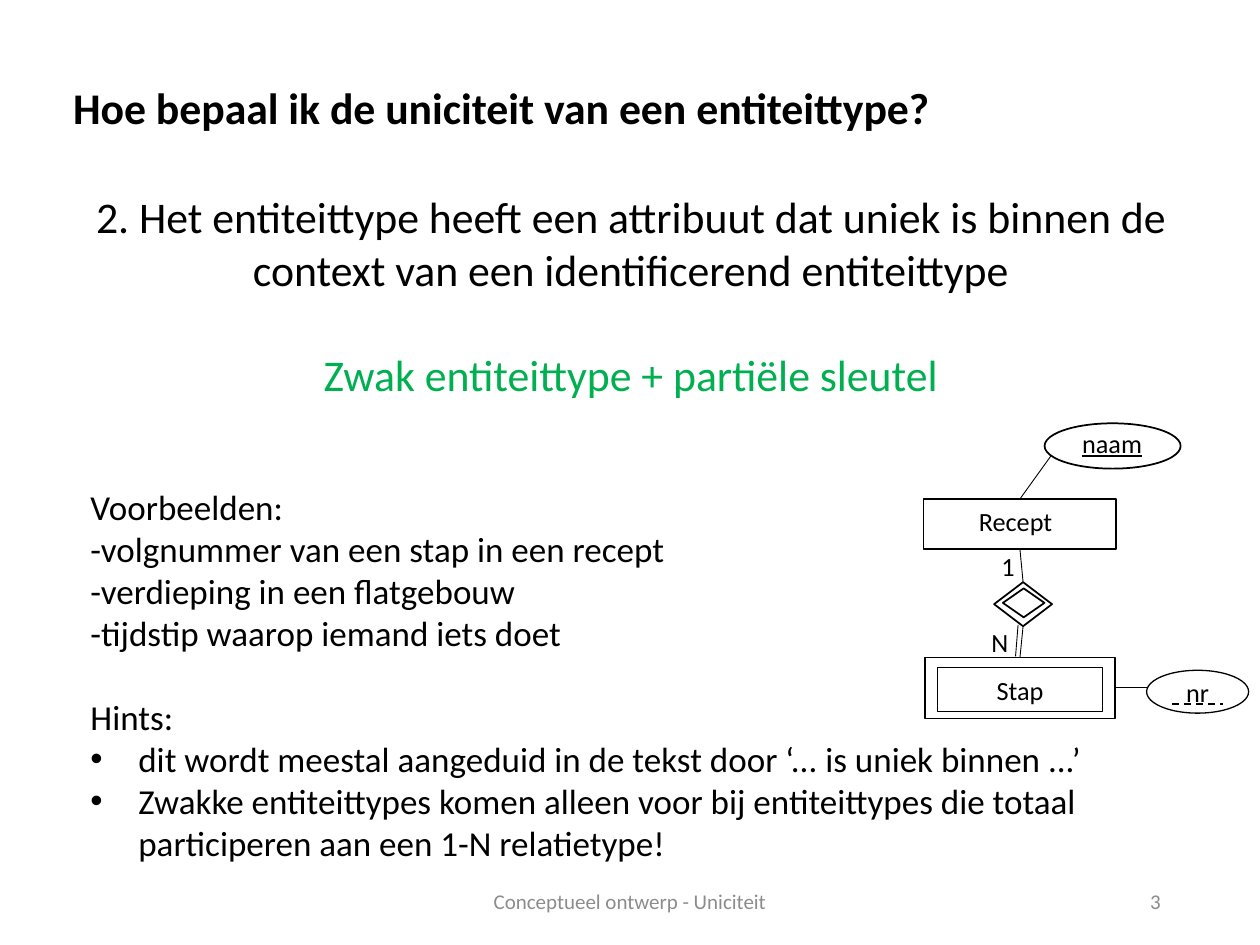
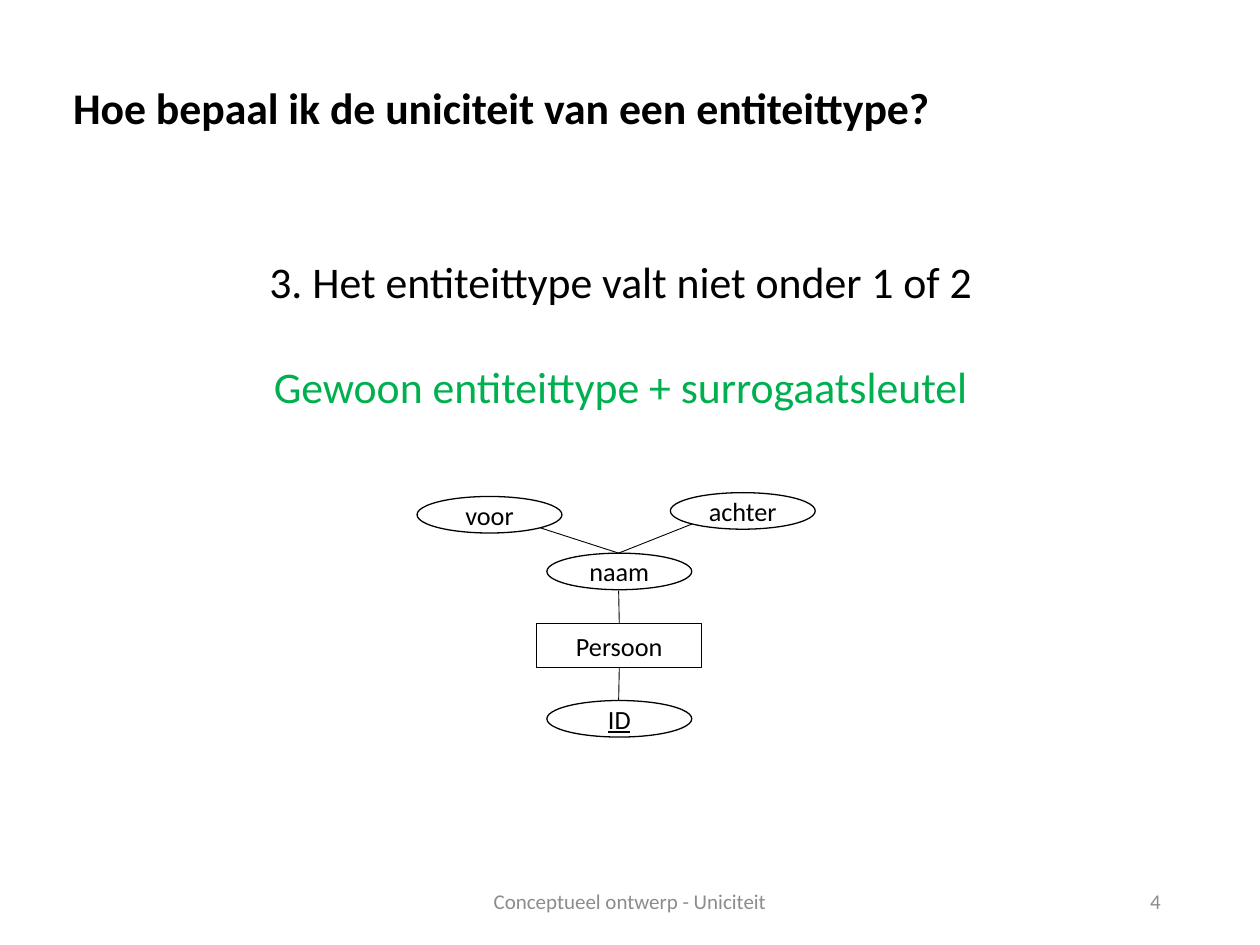
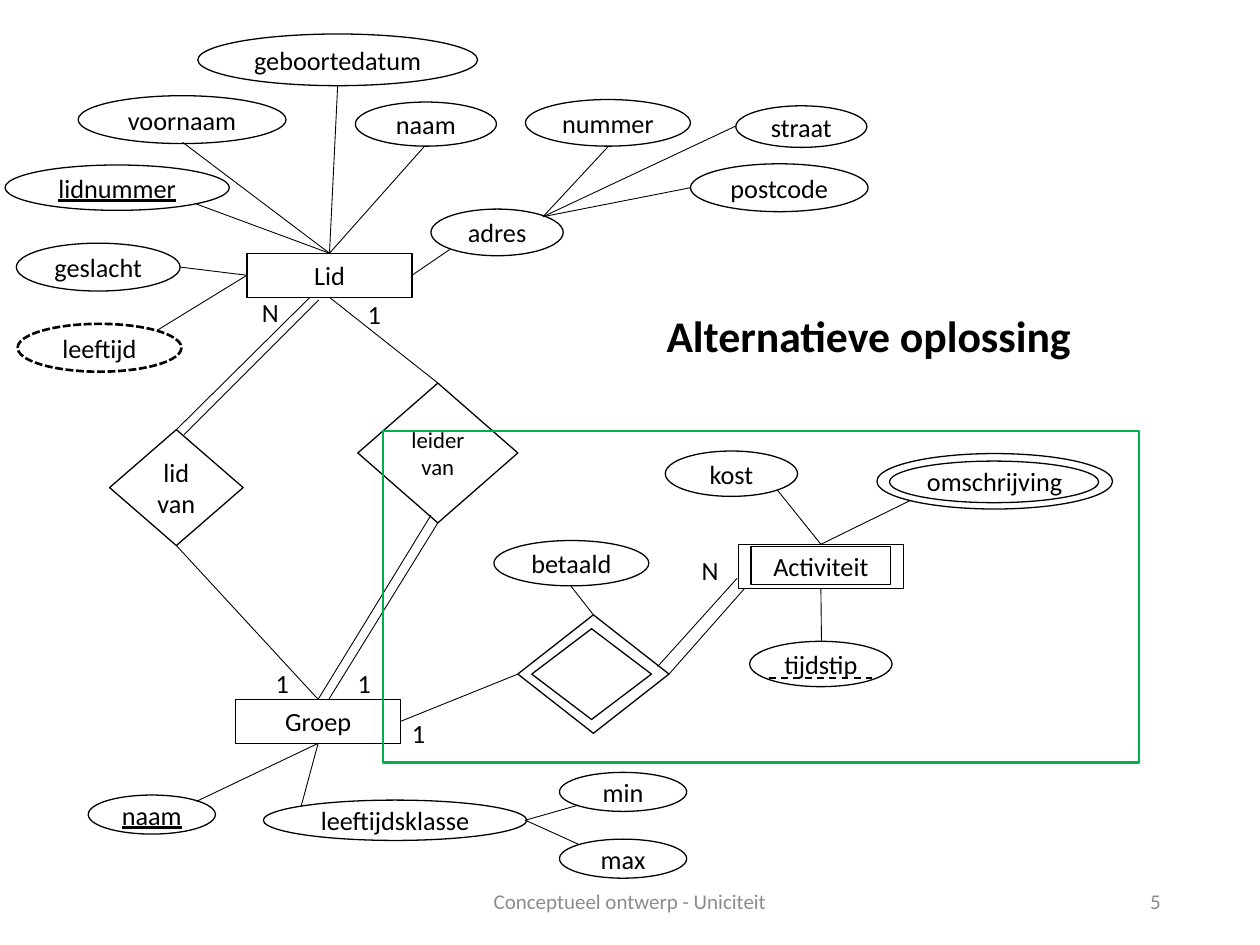
from lxml.etree import SubElement
from pptx import Presentation
from pptx.dml.color import RGBColor
from pptx.enum.dml import MSO_LINE as Dash
from pptx.enum.shapes import MSO_CONNECTOR as Connector, MSO_SHAPE as Shape
from pptx.enum.text import MSO_ANCHOR as Anchor, MSO_AUTO_SIZE as AutoSize, PP_ALIGN as Align
from pptx.oxml.ns import qn
from pptx.util import Cm, Pt

COLORS = {"ink": "000000", "paper": "FFFFFF", "accent": "00B050", "footer": "8C8C8C"}
FONT = "Calibri"
FOOTER = "Conceptueel ontwerp - Uniciteit"
QUESTION = "Hoe bepaal ik de uniciteit van een entiteittype?"
QUESTION_AREA = (0.48, 0.59, 8.62, 0.52)
TITLE_ONLY = 5
TOP, LEFT, BOTTOM, RIGHT = range(4)


def length(inches):
    return Cm(2.54 * inches)


def rgb(name):
    return RGBColor.from_string(COLORS[name])


def set_values(target, values):
    for name, value in values.items():
        setattr(target, name, value)


def write(para, text, size=15, color="ink", align=Align.LEFT, before=0, **font):
    set_values(para, {"alignment": align, "space_before": Pt(before)})
    span = para.add_run()
    span.text = text
    set_values(span.font, {"name": FONT, "size": Pt(size), **font})
    span.font.color.rgb = rgb(color)


def add_bullet(para, indent=0.38):
    properties = para._p.get_or_add_pPr()
    properties.set("marL", str(length(indent)))
    properties.set("indent", str(-length(indent)))
    SubElement(properties, qn("a:buFont"), typeface="Arial")
    SubElement(properties, qn("a:buChar"), char="•")


def add_text(page, area, text, anchor=Anchor.TOP, wrap=True, **format_values):
    box = page.shapes.add_textbox(*map(length, area))
    set_values(box.text_frame, {"word_wrap": wrap, "vertical_anchor": anchor})
    write(box.text_frame.paragraphs[0], text, **format_values)
    return box


def add_paragraph(box, text, bullet=False, **format_values):
    para = box.text_frame.add_paragraph()
    if bullet:
        add_bullet(para)
    write(para, text, **format_values)


def add_page(deck, number, title, area, wrap=True):
    page = deck.slides.add_slide(deck.slide_layouts[TITLE_ONLY])
    heading = page.shapes.title
    set_values(heading, dict(zip(("left", "top", "width", "height"), map(length, area))))
    frame = heading.text_frame
    set_values(frame, {"word_wrap": wrap, "vertical_anchor": Anchor.TOP, "auto_size": AutoSize.NONE})
    write(frame.paragraphs[0], title, size=25, bold=True)
    footer_style = {"anchor": Anchor.MIDDLE, "size": 12, "color": "footer"}
    add_text(page, (3.31, 6.95, 3.38, 0.4), FOOTER, align=Align.CENTER, **footer_style)
    add_text(page, (7.06, 6.95, 2.25, 0.4), str(number), align=Align.RIGHT, **footer_style)
    return page


def add_figure(page, kind, area, text="", fill="paper", color="ink", width=0.75, dash=None,
               anchor=Anchor.MIDDLE, wrap=False, **format_values):
    figure = page.shapes.add_shape(kind, *map(length, area))
    figure.shadow.inherit = False
    if fill:
        figure.fill.solid()
        figure.fill.fore_color.rgb = rgb(fill)
    else:
        figure.fill.background()
    figure.line.color.rgb = rgb(color)
    set_values(figure.line, {"width": Pt(width), "dash_style": dash})
    if text:
        set_values(figure.text_frame, {"word_wrap": wrap, "vertical_anchor": anchor})
        write(figure.text_frame.paragraphs[0], text, align=Align.CENTER, **format_values)
    return figure


def add_attribute(page, area, text="", **format_values):
    return add_figure(page, Shape.OVAL, area, text, **format_values)


def add_entity(page, area, text="", **format_values):
    return add_figure(page, Shape.RECTANGLE, area, text, fill=None, anchor=Anchor.TOP, **format_values)


def add_relation(page, area, text="", **format_values):
    return add_figure(page, Shape.DIAMOND, area, text, wrap=True, **format_values)


def add_line(page, start, end, width=0.5, dash=None):
    ends = (start, end)
    joined = [not isinstance(point[0], (int, float)) for point in ends]
    places = [length(value) for point, joint in zip(ends, joined)
              for value in ((0, 0) if joint else point)]
    line = page.shapes.add_connector(Connector.STRAIGHT, *places)
    for point, joint, connect in zip(ends, joined, (line.begin_connect, line.end_connect)):
        if joint:
            connect(*point)
    line.line.color.rgb = rgb("ink")
    set_values(line.line, {"width": Pt(width), "dash_style": dash})
    SubElement(line._element.spPr, qn("a:effectLst"))


def add_fan(page, hub, points):
    for point in points:
        add_line(page, point, hub)


def add_partial_key(page, left, right, top):
    add_line(page, (left, top), (right, top), width=1, dash=Dash.DASH)


def build_weak_entity(deck):
    page = add_page(deck, 3, QUESTION, QUESTION_AREA)
    body = add_text(page, (0.62, 1.46, 8.77, 5.49),
                    "2. Het entiteittype heeft een attribuut dat uniek is binnen de "
                    "context van een identificerend entiteittype", size=25, align=Align.CENTER)
    add_paragraph(body, "Zwak entiteittype + partiële sleutel", size=25, color="accent",
                  align=Align.CENTER, before=30)
    for text, before, bullet in (
        ("Voorbeelden:", 49, False),
        ("-volgnummer van een stap in een recept", 0, False),
        ("-verdieping in een flatgebouw", 0, False),
        ("-tijdstip waarop iemand iets doet", 0, False),
        ("Hints:", 24, False),
        ("dit wordt meestal aangeduid in de tekst door ‘... is uniek binnen ...’", 0, True),
        ("Zwakke entiteittypes komen alleen voor bij entiteittypes die totaal "
         "participeren aan een 1-N relatietype!", 0, True),
    ):
        add_paragraph(body, text, bullet, size=20, before=before)

    add_entity(page, (7.44, 5.3, 1.31, 0.35), "Stap")
    step = add_entity(page, (7.34, 5.22, 1.51, 0.48))
    recipe = add_entity(page, (7.33, 3.96, 1.53, 0.4), width=1)
    relation = add_relation(page, (7.89, 4.62, 0.46, 0.35), width=1)
    add_relation(page, (7.96, 4.67, 0.33, 0.23), width=1)
    add_attribute(page, (9.1, 5.32, 0.81, 0.34), "nr")
    add_partial_key(page, 9.3, 9.71, 5.59)
    add_line(page, (step, RIGHT), (9.11, 5.46))
    add_line(page, (relation, TOP), (recipe, BOTTOM))
    add_line(page, (step, TOP), (relation, BOTTOM))
    add_line(page, (8.06, 5.21), (8.08, 4.96))
    add_line(page, (8.34, 3.62), (recipe, TOP))
    add_attribute(page, (8.29, 3.36, 1.08, 0.36), width=1)
    add_text(page, (8.49, 3.34, 1.51, 0.36), "naam", underline=True)
    add_text(page, (7.67, 3.96, 2.18, 0.35), "Recept")
    add_text(page, (7.85, 4.32, 1.43, 0.35), "1")
    add_text(page, (7.77, 4.92, 1.43, 0.35), "N")


def build_surrogate_key(deck):
    page = add_page(deck, 4, QUESTION, QUESTION_AREA)
    body = add_text(page, (0.54, 1.97, 8.77, 1.36), "3. Het entiteittype valt niet onder 1 of 2",
                    size=25, align=Align.CENTER)
    add_paragraph(body, "Gewoon entiteittype + surrogaatsleutel", size=25, color="accent",
                  align=Align.CENTER, before=30)
    person = add_entity(page, (4.26, 4.95, 1.31, 0.35), "Persoon")
    for text, left, top, underline in (
        ("naam", 4.34, 4.39, False), ("voor", 3.31, 3.94, False),
        ("achter", 5.32, 3.91, False), ("ID", 4.34, 5.56, True),
    ):
        add_attribute(page, (left, top, 1.15, 0.29), text, underline=underline)
    add_line(page, (person, TOP), (4.91, 4.69))
    add_line(page, (person, BOTTOM), (4.91, 5.56))
    add_fan(page, (4.91, 4.39), [(4.29, 4.19), (5.49, 4.16)])


def build_alternative(deck):
    page = add_page(deck, 5, "Alternatieve oplossing", (5.19, 2.4, 3.45, 0.52), wrap=False)
    member, group, activity = (
        add_entity(page, (left, top, 1.31, 0.35), text)
        for text, left, top in (("Lid", 1.96, 2.01), ("Groep", 1.87, 5.55), ("Activiteit", 5.86, 4.32))
    )
    add_entity(page, (5.96, 4.34, 1.11, 0.3))
    for text, *area in (
        ("voornaam", 0.62, 0.76, 1.65, 0.38),
        ("naam", 2.82, 0.81, 1.12, 0.35),
        ("straat", 5.84, 0.84, 1.04, 0.33),
        ("nummer", 4.17, 0.79, 1.31, 0.37),
        ("postcode", 5.48, 1.3, 1.41, 0.38),
        ("geslacht", 0.13, 1.93, 1.3, 0.38),
        ("geboortedatum", 1.57, 0.27, 2.22, 0.41),
        ("adres", 3.42, 1.66, 1.05, 0.37),
        ("leeftijdsklasse", 2.09, 6.35, 2.09, 0.32),
        ("min", 4.44, 6.13, 1.01, 0.31),
        ("max", 4.44, 6.66, 1.01, 0.31),
        ("betaald", 3.92, 4.29, 1.23, 0.36),
        ("kost", 5.28, 3.58, 1.05, 0.36),
        ("omschrijving", 6.96, 3.6, 1.87, 0.44),
        ("tijdstip", 5.95, 5.09, 1.13, 0.36),
    ):
        add_attribute(page, area, text)
    for text, *area in (("lidnummer", 0.04, 1.31, 1.78, 0.36), ("naam", 0.7, 6.31, 1.01, 0.31)):
        add_attribute(page, area, text, underline=True)
    add_attribute(page, (0.14, 2.57, 1.3, 0.38), "leeftijd", width=1.5, dash=Dash.SQUARE_DOT)
    add_attribute(page, (7.06, 3.66, 1.66, 0.33), fill=None)
    add_partial_key(page, 6.1, 6.92, 5.38)

    membership = add_relation(page, (0.87, 3.41, 1.06, 0.92), "lid van")
    leadership = add_relation(page, (2.84, 3.04, 1.27, 1.11), "leider van", size=13)
    planning = add_relation(page, (4.11, 4.88, 1.2, 0.94))
    add_relation(page, (4.22, 4.99, 0.95, 0.72))

    for hub, points in (
        ((member, TOP), [(1.56, 1.62), (1.45, 1.13), (3.37, 1.16), (2.68, 0.68)]),
        ((member, LEFT), [(1.43, 2.12), (1.25, 2.62)]),
        ((member, RIGHT), [(3.57, 1.98)]),
        ((member, BOTTOM), [(leadership, TOP)]),
        ((4.31, 1.72), [(5.84, 1), (4.83, 1.16), (5.48, 1.49)]),
        ((group, BOTTOM), [(1.56, 6.36), (2.39, 6.4)]),
        ((group, TOP), [(membership, BOTTOM), (3.42, 4.09)]),
        ((group, RIGHT), [(planning, LEFT)]),
        ((4.17, 6.51), [(4.59, 6.39), (4.59, 6.7)]),
        ((activity, TOP), [(7.23, 3.97), (6.17, 3.89)]),
        ((activity, BOTTOM), [(6.52, 5.09)]),
        ((membership, TOP), [(2.46, 2.36)]),
        ((2.53, 2.38), [(1.46, 3.45)]),
        ((leadership, BOTTOM), [(2.61, 5.55)]),
        ((planning, RIGHT), [(5.91, 4.67)]),
        ((planning, TOP), [(4.53, 4.65)]),
        ((5.22, 5.29), [(5.85, 4.59)]),
    ):
        add_fan(page, hub, points)

    for text, left, top in (
        ("N", 1.98, 2.3), ("1", 2.82, 2.32), ("1", 2.09, 5.25),
        ("1", 2.74, 5.25), ("1", 3.17, 5.64), ("N", 5.47, 4.35),
    ):
        add_text(page, (left, top, 0.33, 0.35), text, wrap=False)
    add_entity(page, (3.04, 3.42, 6, 2.63), color="accent", width=1.5)


def main():
    deck = Presentation()
    set_values(deck, {"slide_width": length(10), "slide_height": length(7.5)})
    for build in (build_weak_entity, build_surrogate_key, build_alternative):
        build(deck)
    deck.save("out.pptx")


if __name__ == "__main__":
    main()
